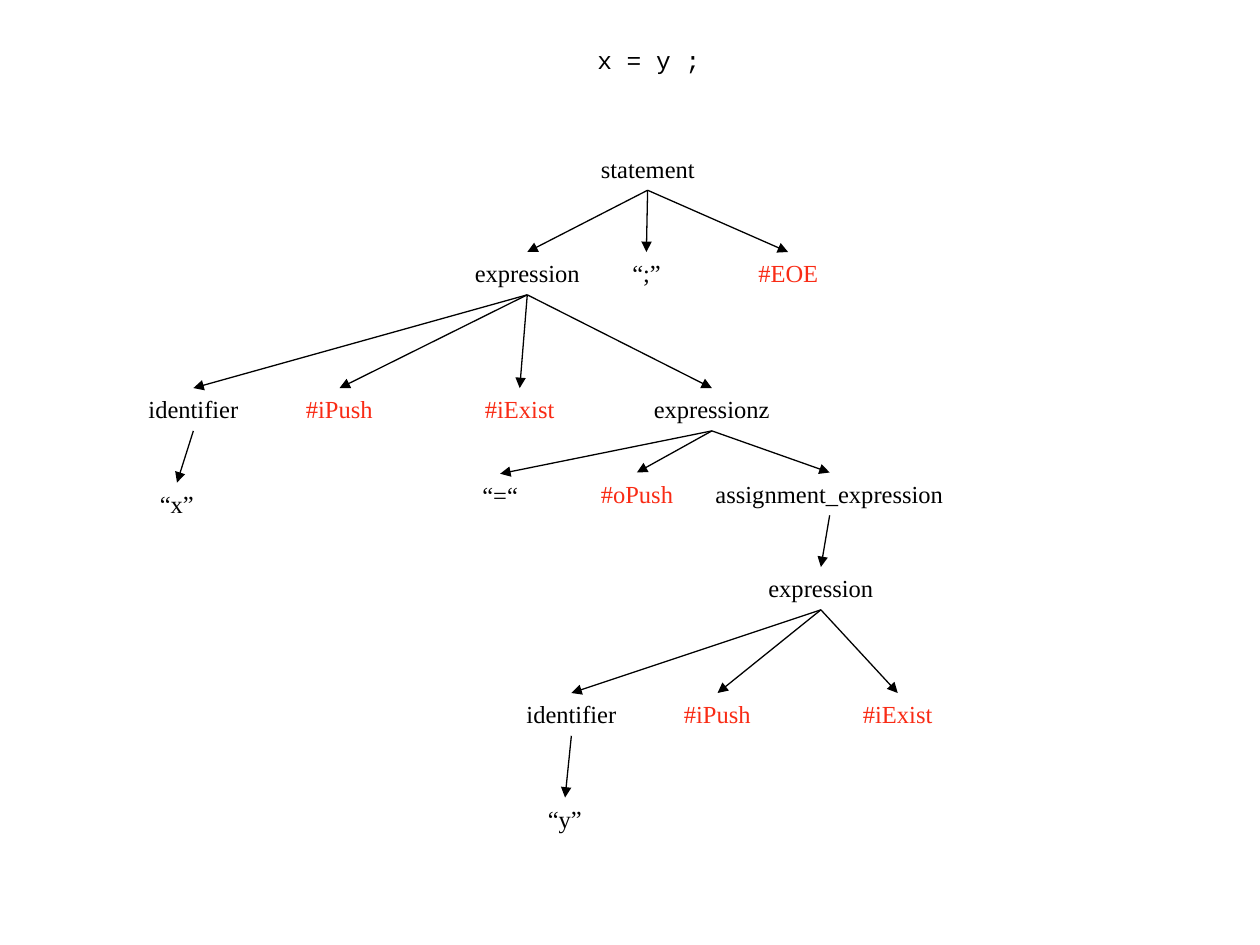
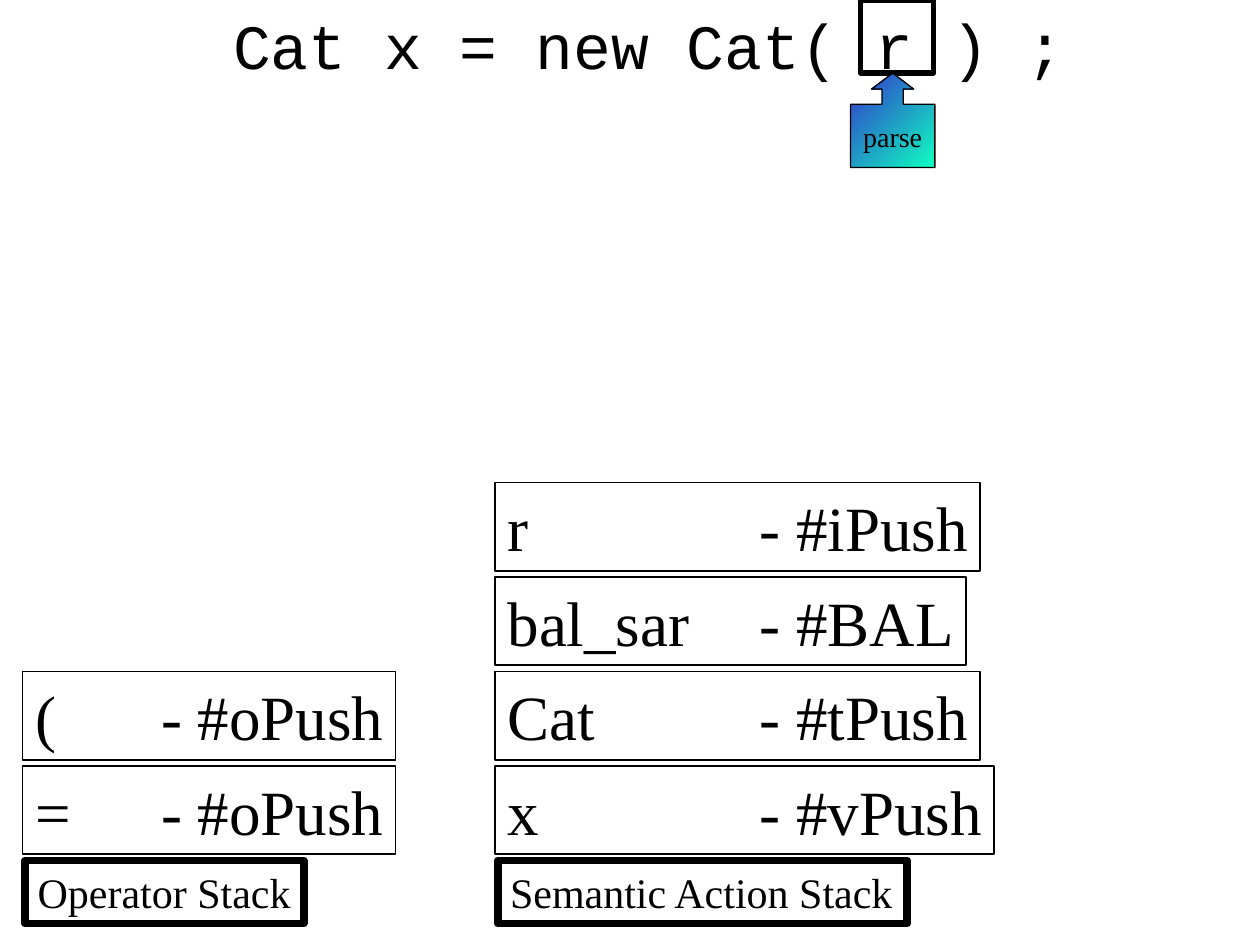
"""Build two slides on parsing: a semantic action tree and the parser stacks."""
from dataclasses import dataclass

from lxml import etree
from pptx import Presentation
from pptx import util as u
from pptx.dml.color import RGBColor
from pptx.enum import shapes, text
from pptx.oxml.ns import qn


@dataclass(frozen=True)
class Theme:
    ink: RGBColor = RGBColor.from_string("000000")
    action: RGBColor = RGBColor.from_string("F92B15")
    gradient: tuple = (RGBColor.from_string("3333CC"), RGBColor.from_string("0FFFC0"))
    serif: str = "Times New Roman"
    mono: str = "Courier New"
    large: int = 36
    caption: int = 24
    pointer: int = 16
    node: int = 14
    thin: float = 0.75
    entry_line: float = 1
    focus_line: float = 3
    caption_line: float = 4.5
    entry_height: float = 0.7
    caption_height: float = 0.5
    node_height: float = 0.34
    inset: float = 0.1
    tight_inset: float = 0.05


@dataclass(frozen=True)
class Node:
    label: str
    left: float
    top: float
    children: tuple = ()


THEME = Theme()
NODE_WIDTHS = {
    "statement": 0.94, "expression": 1.03, "expressionz": 1.12,
    "assignment_expression": 2.01, "identifier": 0.91,
    "#EOE": 0.67, "#iPush": 0.73, "#iExist": 0.75, "#oPush": 0.77,
    "“;”": 0.42, "“=“": 0.48, "“x”": 0.47, "“y”": 0.47,
}


def place(left, top, width, height):
    """Turn four numbers of inches into lengths."""
    return [u.Inches(value) for value in (left, top, width, height)]


def write(box, content, *, size, font=THEME.serif, color=THEME.ink, wrap=False,
          align=text.PP_ALIGN.LEFT, anchor=text.MSO_ANCHOR.TOP, grow=True, tab=None,
          right_inset=THEME.tight_inset):
    """Add a formatted span to the first paragraph of a box."""
    frame = box.text_frame
    frame.word_wrap = wrap
    frame.vertical_anchor = anchor
    frame.margin_right = u.Inches(right_inset)
    if grow:
        frame.auto_size = text.MSO_AUTO_SIZE.SHAPE_TO_FIT_TEXT
    para = frame.paragraphs[0]
    para.alignment = align
    if tab:
        stops = etree.SubElement(para._p.get_or_add_pPr(), qn("a:tabLst"))
        etree.SubElement(stops, qn("a:tab"), pos=str(u.Inches(tab)), algn="l")
    span = para.add_run()
    span.text = content
    span.font.size = u.Pt(size)
    span.font.name = font
    span.font.color.rgb = color


def add_title(page, code, size=THEME.large):
    """Add the centred line of code at the top, on a large baseline."""
    box = page.shapes.add_textbox(*place(0, 0, 10, THEME.entry_height))
    for content, points in ((" ", THEME.large), (code, size)):
        write(box, content, size=points, font=THEME.mono, wrap=True,
              align=text.PP_ALIGN.CENTER, right_inset=THEME.inset)


def add_outline(page, bounds, weight, kind=shapes.MSO_SHAPE.RECTANGLE):
    """Add an unfilled shape with a dark outline."""
    box = page.shapes.add_shape(kind, *place(*bounds))
    box.shadow.inherit = False
    box.fill.background()
    box.line.color.rgb = THEME.ink
    box.line.width = u.Pt(weight)
    return box


def add_arrow(page, parent, child):
    """Join the bottom of one box to the top of another."""
    arrow = page.shapes.add_connector(shapes.MSO_CONNECTOR.STRAIGHT, 0, 0, 0, 0)
    arrow.begin_connect(parent, 2)
    arrow.end_connect(child, 0)
    arrow.line.color.rgb = THEME.ink
    arrow.line.width = u.Pt(THEME.thin)
    etree.SubElement(arrow.line._get_or_add_ln(), qn("a:tailEnd"), type="triangle")
    etree.SubElement(arrow._element.spPr, qn("a:effectLst"))


def add_tree(page, node):
    """Draw a node, its descendants and the arrows between them."""
    width = NODE_WIDTHS[node.label]
    box = page.shapes.add_textbox(*place(node.left, node.top, width, THEME.node_height))
    color = THEME.action if node.label.startswith("#") else THEME.ink
    write(box, node.label, size=THEME.node, color=color)
    for child in node.children:
        add_arrow(page, box, add_tree(page, child))
    return box


def identifier_group(left, top, leaf):
    """Return the identifier node with its two actions."""
    return (Node("identifier", left, top, (leaf,)),
            Node("#iPush", left + 1.25, top),
            Node("#iExist", left + 2.67, top))


def statement_tree():
    """Return the syntax tree of the assignment."""
    value = Node("expression", 6, 4.5,
                 identifier_group(4.08, 5.5, Node("“y”", 4.25, 6.33)))
    assignment = Node("expressionz", 5.09, 3.08, (
        Node("“=“", 3.73, 3.76),
        Node("#oPush", 4.67, 3.75),
        Node("assignment_expression", 5.58, 3.75, (value,)),
    ))
    target = identifier_group(1.08, 3.08, Node("“x”", 1.17, 3.83))
    return Node("statement", 4.67, 1.17, (
        Node("expression", 3.67, 2, (*target, assignment)),
        Node("“;”", 4.92, 2),
        Node("#EOE", 5.92, 2),
    ))


def add_stack(page, left, caption, caption_width, entries, tab):
    """Draw a captioned stack, with its entries from the bottom up."""
    box = add_outline(page, (left + 0.02, 6.83, caption_width, THEME.caption_height),
                      THEME.caption_line)
    write(box, caption, size=THEME.caption)
    for level, (symbol, action, width) in enumerate(entries):
        bounds = (left, 6.08 + -0.75 * level, width, THEME.entry_height)
        box = add_outline(page, bounds, THEME.entry_line)
        write(box, f"{symbol}\t- {action}", size=THEME.large, tab=tab)


def add_pointer(page, label):
    """Frame the current token and point at it from below."""
    add_outline(page, (6.83, 0, 0.58, 0.58), THEME.focus_line)
    callout = add_outline(page, (6.75, 0.58, 0.67, 0.75), THEME.thin,
                          shapes.MSO_SHAPE.UP_ARROW_CALLOUT)
    for index, value in enumerate((0.25, 0.25, 0.19, 0.67)):
        callout.adjustments[index] = value
    callout.fill.gradient()
    callout.fill.gradient_angle = 315
    for stop, color in zip(callout.fill.gradient_stops, THEME.gradient):
        stop.color.rgb = color
    write(callout, label, size=THEME.pointer, align=text.PP_ALIGN.CENTER,
          anchor=text.MSO_ANCHOR.MIDDLE, grow=False, right_inset=THEME.inset)


def build_tree_slide(page):
    """Show the tree of an assignment."""
    add_title(page, "x = y ;", THEME.node)
    add_tree(page, statement_tree())


def build_stack_slide(page):
    """Show both stacks while the argument is parsed."""
    add_title(page, "Cat x = new Cat( r ) ;")
    add_stack(page, 0.18, "Operator Stack", 2.21,
              (("=", "#oPush", 2.96), ("(", "#oPush", 2.96)), tab=1)
    add_stack(page, 3.93, "Semantic Action Stack", 3.25,
              (("x", "#vPush", 3.96), ("Cat", "#tPush", 3.85),
               ("bal_sar", "#BAL", 3.74), ("r", "#iPush", 3.85)), tab=2)
    add_pointer(page, "parse")


def main():
    """Build and save the deck."""
    deck = Presentation()
    deck.slide_width, deck.slide_height = u.Inches(10), u.Inches(7.5)
    for build in (build_tree_slide, build_stack_slide):
        build(deck.slides.add_slide(deck.slide_layouts[6]))
    deck.save("out.pptx")


if __name__ == "__main__":
    main()
